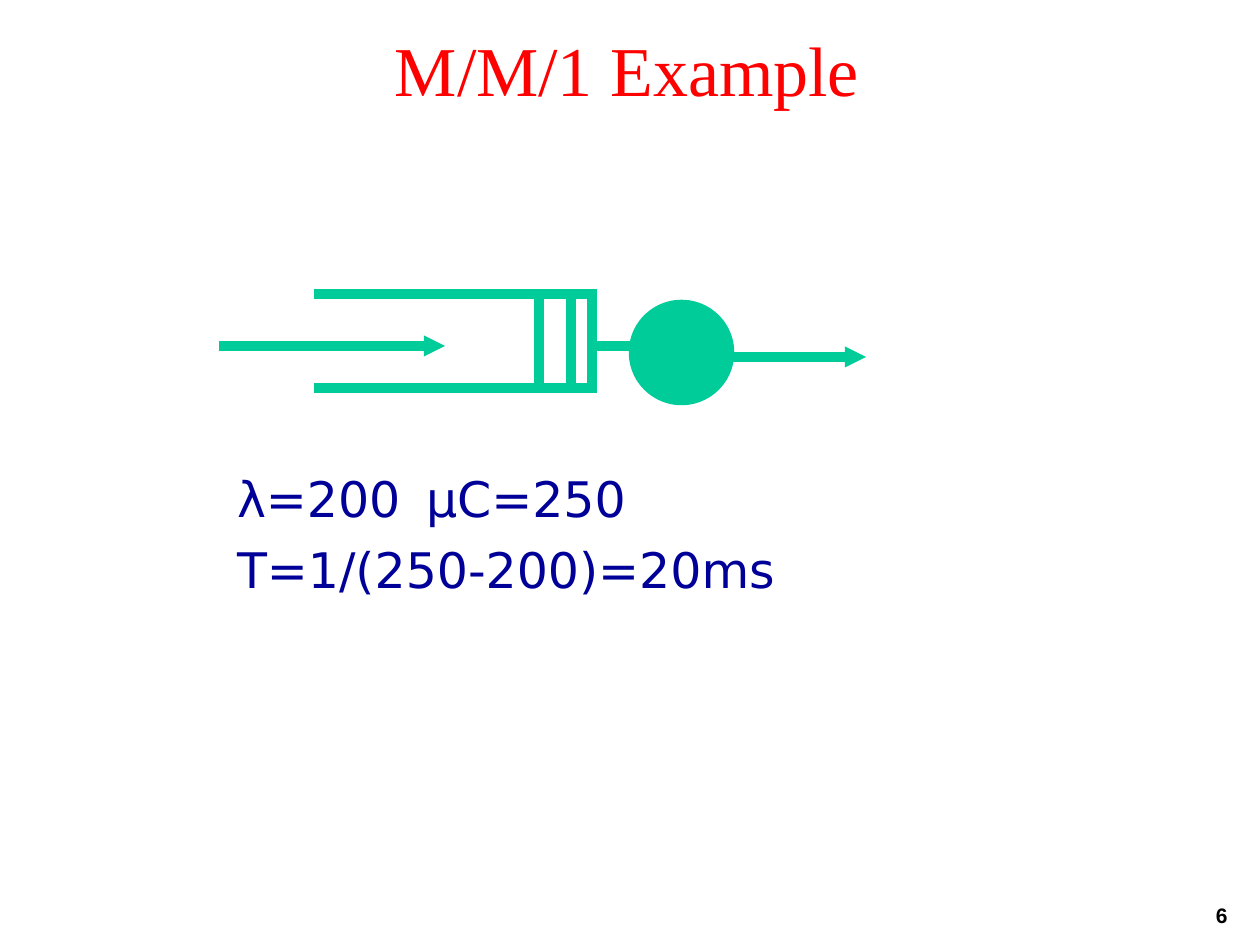
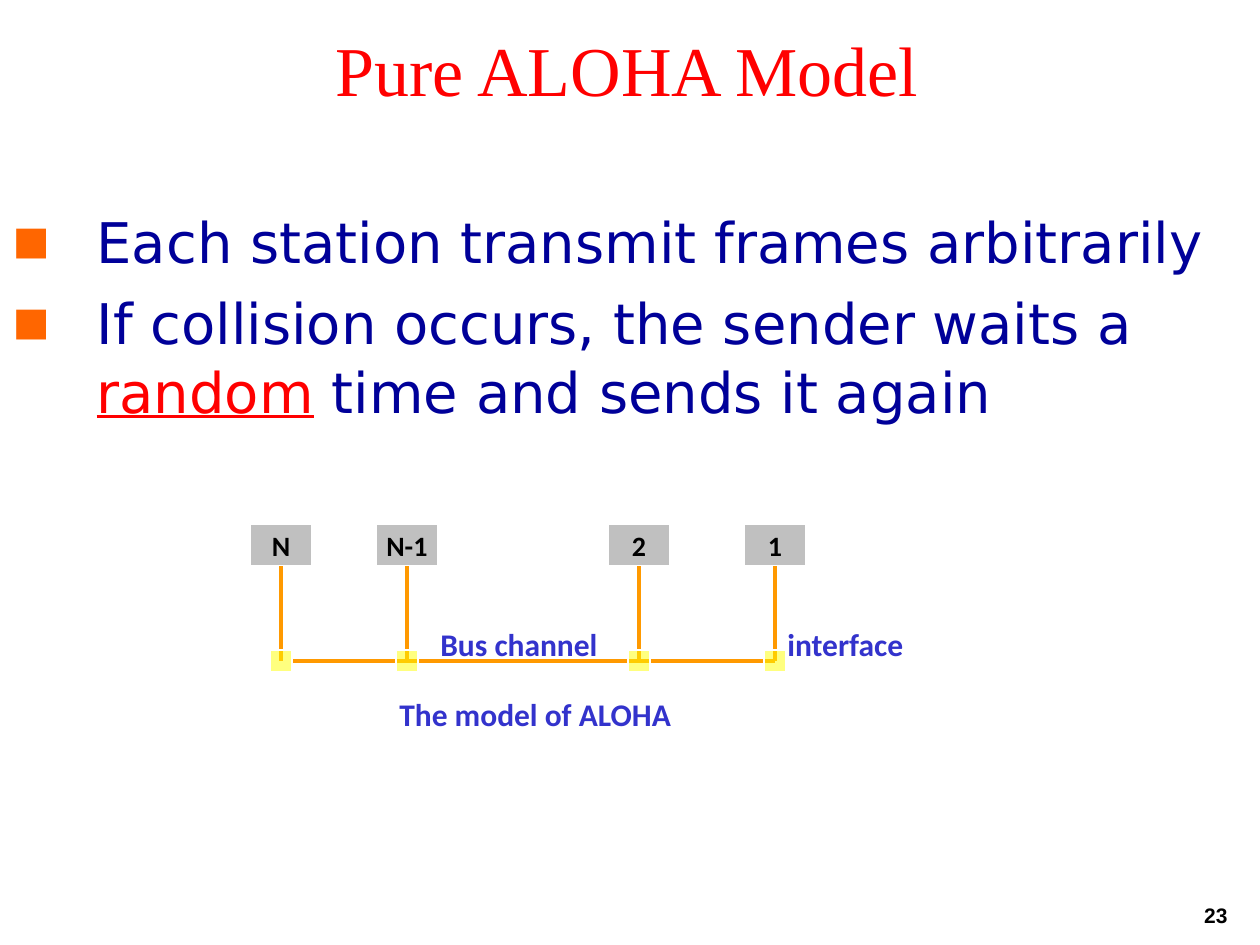
from dataclasses import dataclass

from lxml.etree import SubElement
from pptx import Presentation
from pptx.dml.color import RGBColor
from pptx.enum.shapes import MSO_CONNECTOR, MSO_SHAPE
from pptx.enum.text import MSO_ANCHOR, MSO_AUTO_SIZE, PP_ALIGN
from pptx.oxml.ns import qn
from pptx.shapes.autoshape import Shape
from pptx.shapes.connector import Connector
from pptx.slide import Slide
from pptx.text.text import TextFrame, _Paragraph as Paragraph
from pptx.util import Emu, Pt

RED = RGBColor(0xFF, 0x00, 0x00)
NAVY = RGBColor(0x00, 0x00, 0x99)
INDIGO = RGBColor(0x33, 0x33, 0xCC)
GREEN = RGBColor(0x00, 0xCC, 0x99)
ORANGE = RGBColor(0xFF, 0x99, 0x00)
BULLET_ORANGE = RGBColor(0xFF, 0x66, 0x00)
YELLOW = RGBColor(0xFF, 0xFF, 0x00)
GRAY = RGBColor(0xC0, 0xC0, 0xC0)
BLACK = RGBColor(0x00, 0x00, 0x00)
WHITE = RGBColor(0xFF, 0xFF, 0xFF)

EMU_PER_PX = 914400 / 126
SLIDE_WIDTH, SLIDE_HEIGHT = 1260, 945
BOTTOM, RIGHT = 2, 3


@dataclass(frozen=True)
class Box:
    left: int
    top: int
    width: int
    height: int


@dataclass(frozen=True)
class TextStyle:
    font: str
    size: int
    color: RGBColor
    bold: bool = False
    underline: bool = False


@dataclass(frozen=True)
class Segment:
    x1: int
    y1: int
    x2: int
    y2: int
    arrow: bool = False


@dataclass(frozen=True)
class Station:
    name: str
    center: int


@dataclass(frozen=True)
class Label:
    text: str
    box: Box


TITLE_BOX = Box(21, 21, 1212, 96)
NUMBER_BOX = Box(978, 896, 262, 25)
TITLE_STYLE = TextStyle("Times New Roman", 40, RED)
NUMBER_STYLE = TextStyle("Arial", 12, BLACK, bold=True)
FORMULA_STYLE = TextStyle("DejaVu Sans", 28, NAVY)
BULLET_STYLE = TextStyle("DejaVu Sans", 32, NAVY)
EMPHASIS_STYLE = TextStyle("DejaVu Sans", 32, RED, underline=True)
STATION_STYLE = TextStyle("Calibri", 16, BLACK, bold=True)
LABEL_STYLE = TextStyle("Calibri", 18, INDIGO, bold=True)

FORMULAS = ["λ=200\tμC=250", "T=1/(250-200)=20ms"]
FORMULA_LEFT, FORMULA_TAB = 237, 240
BULLETS = [
    [("Each station transmit frames arbitrarily", BULLET_STYLE)],
    [
        ("If collision occurs, the sender waits a ", BULLET_STYLE),
        ("random", EMPHASIS_STYLE),
        (" time and sends it again", BULLET_STYLE),
    ],
]
BULLET_INDENT = 84

QUEUE_LEFT, QUEUE_RIGHT, QUEUE_TOP, QUEUE_BOTTOM = 319, 592, 294, 388
FLOW_Y, DEPARTURE_Y = 346, 357
SERVER = Box(634, 305, 95, 95)
QUEUE_SEGMENTS = [
    *(Segment(QUEUE_LEFT, y, QUEUE_RIGHT, y) for y in (QUEUE_TOP, QUEUE_BOTTOM)),
    *(Segment(x, QUEUE_TOP, x, QUEUE_BOTTOM) for x in (539, 571, QUEUE_RIGHT)),
    Segment(QUEUE_RIGHT, FLOW_Y, SERVER.left, FLOW_Y),
    Segment(SERVER.left + SERVER.width, DEPARTURE_Y, 866, DEPARTURE_Y, arrow=True),
    Segment(224, FLOW_Y, 445, FLOW_Y, arrow=True),
]

STATIONS = [Station("N", 281), Station("N-1", 407), Station("2", 639), Station("1", 775)]
STATION_TOP, STATION_WIDTH, STATION_HEIGHT = 524, 62, 42
BUS_Y, TAP_SIZE = 661, 22
LABELS = [
    Label("interface", Box(775, 619, 174, 50)),
    Label("Bus channel", Box(428, 619, 255, 50)),
    Label("The model of ALOHA", Box(387, 689, 451, 50)),
]


def px(length: float) -> Emu:
    return Emu(round(length * EMU_PER_PX))


def place(shape: Shape, box: Box) -> None:
    shape.left, shape.top = px(box.left), px(box.top)
    shape.width, shape.height = px(box.width), px(box.height)


def add_run(paragraph: Paragraph, text: str, style: TextStyle) -> None:
    run = paragraph.add_run()
    run.text = text
    run.font.name = style.font
    run.font.size = Pt(style.size)
    run.font.bold = style.bold
    run.font.underline = style.underline
    run.font.color.rgb = style.color


def add_text_box(slide: Slide, box: Box, text: str, style: TextStyle,
                 alignment: PP_ALIGN = PP_ALIGN.LEFT) -> None:
    shape = slide.shapes.add_textbox(
        px(box.left), px(box.top), px(box.width), px(box.height))
    shape.text_frame.word_wrap = True
    paragraph = shape.text_frame.paragraphs[0]
    paragraph.alignment = alignment
    add_run(paragraph, text, style)


def add_filled_shape(slide: Slide, kind: MSO_SHAPE, box: Box, fill: RGBColor,
                     line: RGBColor, line_width: int) -> Shape:
    shape = slide.shapes.add_shape(
        kind, px(box.left), px(box.top), px(box.width), px(box.height))
    shape.shadow.inherit = False
    shape.fill.solid()
    shape.fill.fore_color.rgb = fill
    shape.line.color.rgb = line
    shape.line.width = Pt(line_width)
    return shape


def add_segment(slide: Slide, segment: Segment, color: RGBColor, width: int,
                cap: str = "flat") -> Connector:
    connector = slide.shapes.add_connector(
        MSO_CONNECTOR.STRAIGHT, px(segment.x1), px(segment.y1),
        px(segment.x2), px(segment.y2))
    connector.line.color.rgb = color
    connector.line.width = Pt(width)
    properties = connector.element.spPr
    line = properties.find(qn("a:ln"))
    line.set("cap", cap)
    if segment.arrow:
        SubElement(line, qn("a:tailEnd"), type="triangle", w="sm", len="sm")
    SubElement(properties, qn("a:effectLst"))
    return connector


def add_base_slide(presentation: Presentation, title: str, number: int) -> Slide:
    slide = presentation.slides.add_slide(presentation.slide_layouts[1])
    add_text_box(slide, NUMBER_BOX, str(number), NUMBER_STYLE, PP_ALIGN.RIGHT)
    place(slide.shapes.title, TITLE_BOX)
    text_frame = slide.shapes.title.text_frame
    text_frame.auto_size = MSO_AUTO_SIZE.NONE
    text_frame.vertical_anchor = MSO_ANCHOR.MIDDLE
    paragraph = text_frame.paragraphs[0]
    paragraph.alignment = PP_ALIGN.CENTER
    add_run(paragraph, title, TITLE_STYLE)
    return slide


def prepare_body(slide: Slide, top: int, height: int) -> TextFrame:
    body = slide.placeholders[1]
    place(body, Box(0, top, SLIDE_WIDTH, height))
    body.text_frame.auto_size = MSO_AUTO_SIZE.NONE
    return body.text_frame


def add_body_paragraph(text_frame: TextFrame, index: int, gap: int,
                       indent: int = 0) -> Paragraph:
    paragraph = text_frame.add_paragraph() if index else text_frame.paragraphs[0]
    properties = paragraph._p.get_or_add_pPr()
    properties.set("marL", str(px(indent)))
    properties.set("indent", str(px(-indent)))
    paragraph.line_spacing = 1.03
    paragraph.space_before = Pt(gap if index else 0)
    return paragraph


def set_bullet(paragraph: Paragraph) -> None:
    properties = paragraph._p.get_or_add_pPr()
    color = SubElement(properties, qn("a:buClr"))
    SubElement(color, qn("a:srgbClr"), val=str(BULLET_ORANGE))
    SubElement(properties, qn("a:buSzPct"), val="110000")
    SubElement(properties, qn("a:buFont"), typeface="Arial")
    SubElement(properties, qn("a:buChar"), char="■")


def set_tab_without_bullet(paragraph: Paragraph, position: int) -> None:
    properties = paragraph._p.get_or_add_pPr()
    SubElement(properties, qn("a:buNone"))
    tabs = SubElement(properties, qn("a:tabLst"))
    SubElement(tabs, qn("a:tab"), pos=str(px(position)), algn="l")


def build_queue_slide(presentation: Presentation) -> None:
    slide = add_base_slide(presentation, "M/M/1 Example", 6)
    text_frame = prepare_body(slide, 460, 444)
    text_frame.margin_left = px(FORMULA_LEFT)
    for index, formula in enumerate(FORMULAS):
        paragraph = add_body_paragraph(text_frame, index, 6)
        set_tab_without_bullet(paragraph, FORMULA_TAB)
        add_run(paragraph, formula, FORMULA_STYLE)
    add_filled_shape(slide, MSO_SHAPE.OVAL, SERVER, GREEN, GREEN, 6)
    for segment in QUEUE_SEGMENTS:
        add_segment(slide, segment, GREEN, 6, cap="sq")


def add_station(slide: Slide, station: Station) -> Shape:
    box = Box(station.center - STATION_WIDTH // 2, STATION_TOP,
              STATION_WIDTH, STATION_HEIGHT)
    shape = add_filled_shape(slide, MSO_SHAPE.RECTANGLE, box, GRAY, WHITE, 1)
    text_frame = shape.text_frame
    text_frame.word_wrap = False
    text_frame.vertical_anchor = MSO_ANCHOR.MIDDLE
    paragraph = text_frame.paragraphs[0]
    paragraph.alignment = PP_ALIGN.CENTER
    add_run(paragraph, station.name, STATION_STYLE)
    return shape


def add_tap(slide: Slide, center: int) -> Shape:
    box = Box(center - TAP_SIZE // 2, BUS_Y - TAP_SIZE // 2, TAP_SIZE, TAP_SIZE)
    shape = add_filled_shape(slide, MSO_SHAPE.RECTANGLE, box, YELLOW, WHITE, 1)
    color = shape.element.spPr.find(qn("a:solidFill")).find(qn("a:srgbClr"))
    SubElement(color, qn("a:alpha"), val="50000")
    return shape


def build_aloha_slide(presentation: Presentation) -> None:
    slide = add_base_slide(presentation, "Pure ALOHA Model", 23)
    text_frame = prepare_body(slide, 199, 703)
    for index, runs in enumerate(BULLETS):
        paragraph = add_body_paragraph(text_frame, index, 7, BULLET_INDENT)
        set_bullet(paragraph)
        for text, style in runs:
            add_run(paragraph, text, style)

    station_shapes = [add_station(slide, station) for station in STATIONS]
    first, last = STATIONS[0].center, STATIONS[-1].center
    bus = add_segment(
        slide, Segment(last, BUS_Y, first + TAP_SIZE // 2, BUS_Y), ORANGE, 2)
    for station, shape in zip(STATIONS, station_shapes):
        drop = add_segment(
            slide, Segment(station.center, BUS_Y, station.center,
                           STATION_TOP + STATION_HEIGHT), ORANGE, 2)
        drop.end_connect(shape, BOTTOM)
    taps = [add_tap(slide, station.center) for station in STATIONS]
    bus.end_connect(taps[0], RIGHT)
    for label in LABELS:
        add_text_box(slide, label.box, label.text, LABEL_STYLE)


def main() -> None:
    presentation = Presentation()
    presentation.slide_width = px(SLIDE_WIDTH)
    presentation.slide_height = px(SLIDE_HEIGHT)
    build_queue_slide(presentation)
    build_aloha_slide(presentation)
    presentation.save("out.pptx")


if __name__ == "__main__":
    main()
